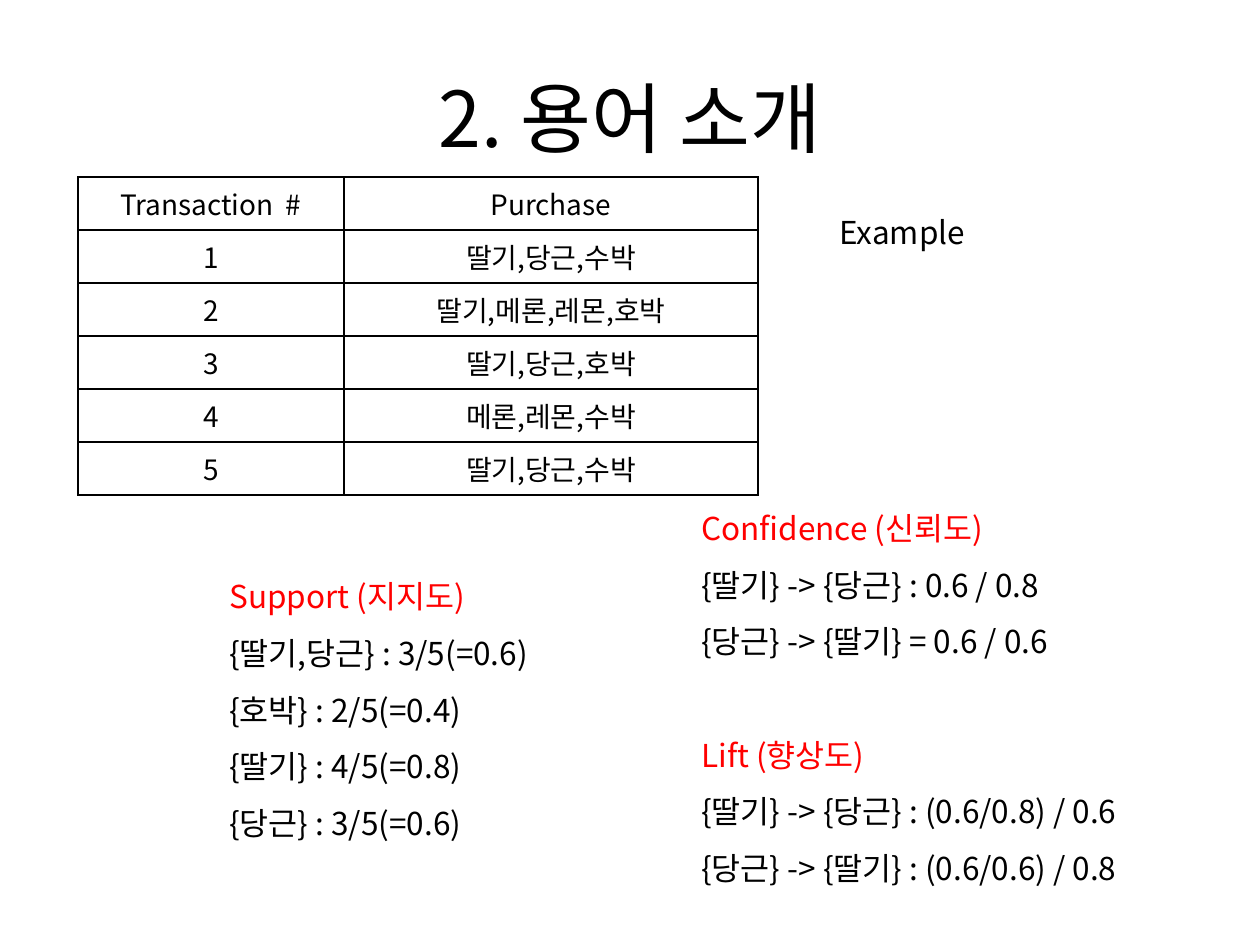
"""Builds the slide that introduces the association rule terms."""
from lxml.etree import SubElement
from pptx import Presentation
from pptx.dml.color import RGBColor
from pptx.enum.text import MSO_ANCHOR, MSO_AUTO_SIZE, PP_ALIGN
from pptx.oxml.ns import qn
from pptx.util import Emu, Pt

SCALE = 914400 / 126
FONT = "Noto Sans CJK KR"
COLORS = {"text": "000000", "heading": "FF0000", "paper": "FFFFFF", "border": "000000"}
BODY = {"line_spacing": 1.5}
CENTERED = {"alignment": PP_ALIGN.CENTER}
GROWING = {"auto_size": MSO_AUTO_SIZE.SHAPE_TO_FIT_TEXT}
PURCHASES = [
    "딸기,당근,수박",
    "딸기,메론,레몬,호박",
    "딸기,당근,호박",
    "메론,레몬,수박",
    "딸기,당근,수박",
]
SUPPORT = [
    ("Support (지지도)", "heading", BODY),
    ("{딸기,당근} : 3/5(=0.6)\n{호박} : 2/5(=0.4)\n{딸기} : 4/5(=0.8)\n{당근} : 3/5(=0.6)", "text", BODY),
]
CONFIDENCE_AND_LIFT = [
    ("Confidence (신뢰도)", "heading", BODY),
    ("{딸기} -> {당근} : 0.6 / 0.8\n{당근} -> {딸기} = 0.6 / 0.6", "text", BODY),
    ("Lift (향상도)", "heading", BODY | {"space_before": Pt(32.4)}),
    ("{딸기} -> {당근} : (0.6/0.8) / 0.6\n{당근} -> {딸기} : (0.6/0.6) / 0.8", "text", BODY),
]


def px(length):
    """Turn pixels into EMU."""
    return Emu(round(length * SCALE))


def apply(target, values):
    """Set each named attribute of the target."""
    for name, value in values.items():
        setattr(target, name, value)


def write(paragraph, text, size, color, values):
    """Fill a paragraph with text in the slide font."""
    paragraph.text = text
    apply(paragraph, values)
    for span in paragraph.runs:
        apply(span.font, {"size": Pt(size), "name": FONT, "bold": False})
        span.font.color.rgb = RGBColor.from_string(COLORS[color])
        SubElement(span.font._element, qn("a:ea"), typeface=FONT)


def add_text(page, place, lines, size, frame_values):
    """Add a wrapping text box with one paragraph per line entry."""
    frame = page.shapes.add_textbox(*map(px, place)).text_frame
    apply(frame, {"word_wrap": True} | frame_values)
    for index, (text, color, values) in enumerate(lines):
        paragraph = frame.add_paragraph() if index else frame.paragraphs[0]
        write(paragraph, text, size, color, values)


def add_borders(cell):
    """Draw a thin line on every side of a cell."""
    properties = cell._tc.get_or_add_tcPr()
    for index, side in enumerate(("lnL", "lnR", "lnT", "lnB")):
        line = properties.makeelement(qn(f"a:{side}"), {"w": str(Pt(1))})
        fill = SubElement(line, qn("a:solidFill"))
        SubElement(fill, qn("a:srgbClr"), val=COLORS["border"])
        properties.insert(index, line)


def add_grid(page, left, top, widths, row_height, rows):
    """Add a bordered table with centred text."""
    size = (sum(widths), row_height * len(rows))
    table = page.shapes.add_table(len(rows), len(widths), *map(px, (left, top, *size))).table
    apply(table, {"first_row": False, "horz_banding": False})
    for column, width in zip(table.columns, widths):
        column.width = px(width)
    for row, texts in zip(table.rows, rows):
        row.height = px(row_height)
        for cell, text in zip(row.cells, texts):
            cell.fill.solid()
            cell.fill.fore_color.rgb = RGBColor.from_string(COLORS["paper"])
            cell.vertical_anchor = MSO_ANCHOR.MIDDLE
            add_borders(cell)
            write(cell.text_frame.paragraphs[0], text, 16, "text", CENTERED)


def main():
    """Build and save the deck."""
    deck = Presentation()
    apply(deck, {"slide_width": px(1260), "slide_height": px(945)})
    page = deck.slides.add_slide(deck.slide_layouts[6])
    add_text(page, (63, 38, 1134, 158), [("2. 용어 소개", "text", CENTERED)], 44,
             {"vertical_anchor": MSO_ANCHOR.MIDDLE})
    rows = [("Transaction  #", "Purchase")]
    rows += [(str(number), items) for number, items in enumerate(PURCHASES, 1)]
    add_grid(page, 78, 177, (266, 414), 53, rows)
    add_text(page, (217, 552, 501, 299), SUPPORT, 18, GROWING)
    add_text(page, (689, 444, 501, 528), CONFIDENCE_AND_LIFT, 18, {"margin_top": px(46)})
    add_text(page, (827, 207, 305, 50), [("Example", "text", {})], 18, GROWING)
    deck.save("out.pptx")


if __name__ == "__main__":
    main()
